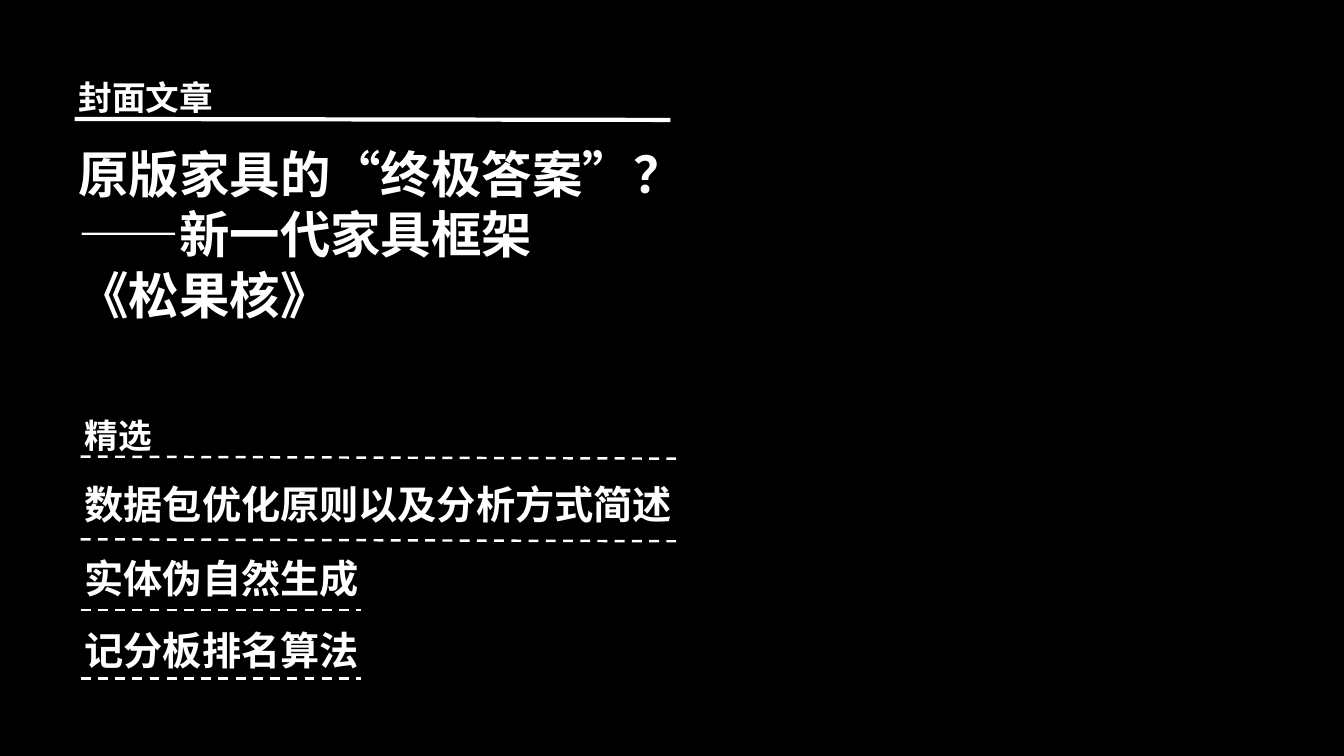
from dataclasses import dataclass

from lxml import etree
from pptx import Presentation
from pptx.dml.color import RGBColor
from pptx.enum.dml import MSO_LINE
from pptx.enum.shapes import MSO_CONNECTOR
from pptx.enum.text import MSO_AUTO_SIZE
from pptx.oxml.ns import qn
from pptx.shapes.group import GroupShape
from pptx.util import Inches, Pt

STRAIGHT = MSO_CONNECTOR.STRAIGHT
DASH = MSO_LINE.DASH
GROW = MSO_AUTO_SIZE.SHAPE_TO_FIT_TEXT

FONT = "Noto Sans CJK SC"
BLACK, WHITE = "000000", "FFFFFF"
SLIDE_W, SLIDE_H = 13.33, 7.5

# Column edges: the cover block, and the selection block set slightly to its right
COVER_X, PICKS_X = 0.68, 0.74
RULE_INDENT = 0.06
LABEL_W, TITLE_W = 4.44, 6.15
LONG_RULE, SHORT_RULE = 5.91, 2.78
LINE_RATIO = 1.2
INSET_TOP, INSET_BOTTOM = 0.09, 0.01


@dataclass(frozen=True)
class Heading:
    lines: tuple[str, ...]
    top: float
    width: float
    size: int


@dataclass(frozen=True)
class Rule:
    top: float
    length: float
    drop: float = 0.0
    weight: float = 1.75
    dashed: bool = True


@dataclass(frozen=True)
class Block:
    left: float
    headings: tuple[Heading, ...]
    rules: tuple[Rule, ...]


COVER = Block(
    COVER_X,
    (
        Heading(("封面文章",), 0.67, LABEL_W, 24),
        Heading(("原版家具的“终极答案”？", "——新一代家具框架", "《松果核》"),
                1.33, TITLE_W, 36),
    ),
    (Rule(1.18, LONG_RULE, 0.01, 3, False),),
)
PICKS = Block(
    PICKS_X,
    (
        Heading(("精选",), 4.03, LABEL_W, 24),
        Heading(("数据包优化原则以及分析方式简述",), 4.68, TITLE_W, 28),
        Heading(("实体伪自然生成",), 5.41, TITLE_W, 28),
        Heading(("记分板排名算法",), 6.12, TITLE_W, 28),
    ),
    (
        Rule(4.53, LONG_RULE, 0.02),
        Rule(5.35, LONG_RULE, 0.02),
        Rule(6.05, SHORT_RULE),
        Rule(6.73, SHORT_RULE),
    ),
)


def color(code: str) -> RGBColor:
    return RGBColor.from_string(code)


def draw_heading(group: GroupShape, left: float, heading: Heading) -> None:
    pitch = heading.size * LINE_RATIO
    height = len(heading.lines) * pitch / 72 + INSET_TOP + INSET_BOTTOM
    box = group.shapes.add_textbox(Inches(left), Inches(heading.top),
                                   Inches(heading.width), Inches(height))
    frame = box.text_frame
    frame.word_wrap = True
    frame.auto_size = GROW
    frame.margin_top, frame.margin_bottom = Inches(INSET_TOP), Inches(INSET_BOTTOM)
    for index, line in enumerate(heading.lines):
        paragraph = frame.add_paragraph() if index else frame.paragraphs[0]
        paragraph.line_spacing = Pt(pitch)
        run = paragraph.add_run()
        run.text = line
        run.font.name = FONT
        run.font.size = Pt(heading.size)
        run.font.bold = True
        run.font.color.rgb = color(WHITE)
        # Chinese characters take the East Asian typeface
        east_asian = etree.SubElement(run.font._element, qn("a:ea"))
        east_asian.set("typeface", FONT)


def draw_rule(group: GroupShape, left: float, rule: Rule) -> None:
    start = left + RULE_INDENT
    connector = group.shapes.add_connector(
        STRAIGHT, Inches(start), Inches(rule.top),
        Inches(start + rule.length), Inches(rule.top + rule.drop))
    connector.line.color.rgb = color(WHITE)
    connector.line.width = Pt(rule.weight)
    if rule.dashed:
        connector.line.dash_style = DASH
    etree.SubElement(connector._element.spPr, qn("a:effectLst"))


def main() -> None:
    deck = Presentation()
    deck.slide_width, deck.slide_height = Inches(SLIDE_W), Inches(SLIDE_H)
    slide = deck.slides.add_slide(deck.slide_layouts[6])

    # Background
    slide.background.fill.solid()
    slide.background.fill.fore_color.rgb = color(BLACK)

    # Cover story and selected articles
    for block in (COVER, PICKS):
        group = slide.shapes.add_group_shape()
        for heading in block.headings:
            draw_heading(group, block.left, heading)
        for rule in block.rules:
            draw_rule(group, block.left, rule)

    deck.save("out.pptx")


if __name__ == "__main__":
    main()
